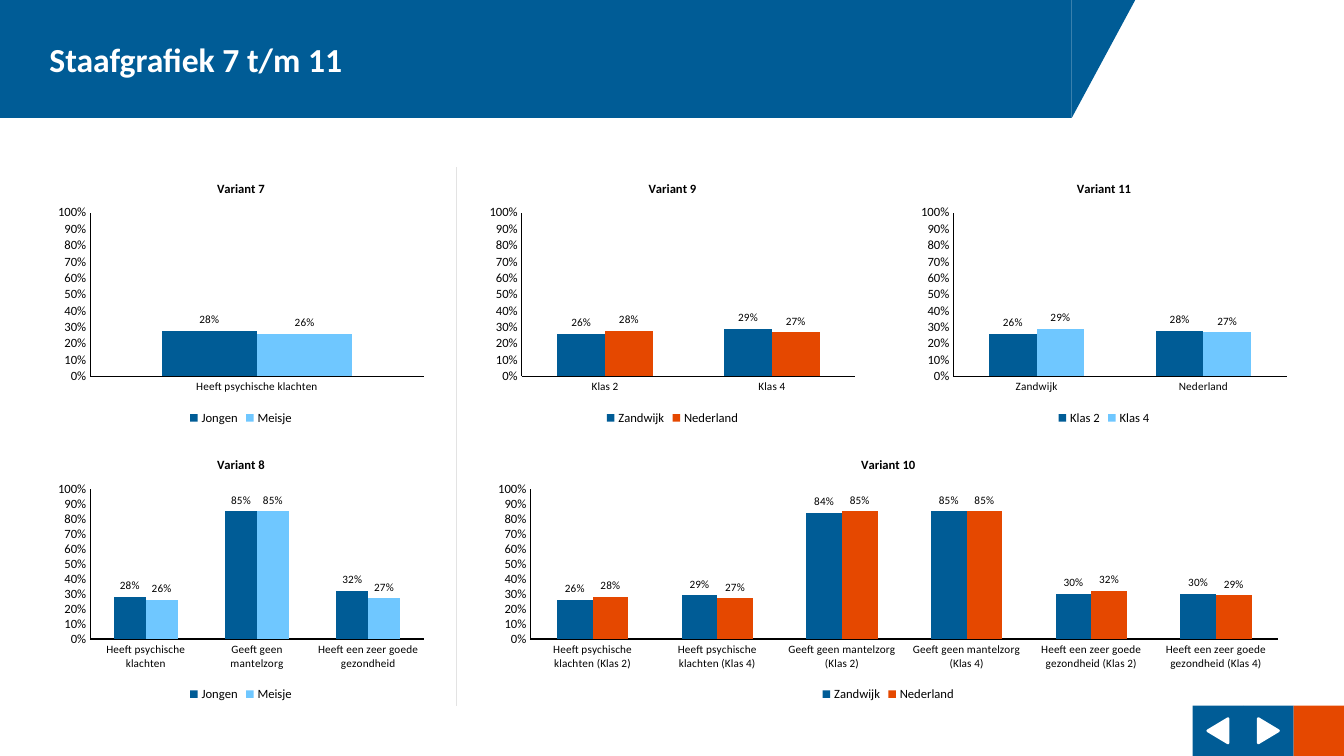
from lxml.etree import SubElement
from pptx import Presentation
from pptx.chart.data import CategoryChartData
from pptx.dml.color import RGBColor
from pptx.enum.chart import XL_CHART_TYPE, XL_LABEL_POSITION, XL_LEGEND_POSITION, XL_TICK_MARK
from pptx.enum.shapes import MSO_CONNECTOR, MSO_SHAPE as SHAPE
from pptx.enum.text import MSO_ANCHOR, MSO_AUTO_SIZE, PP_ALIGN
from pptx.oxml.ns import qn
from pptx.util import Inches, Pt

FONT = "Calibri"
COLORS = {"blue": "005C96", "sky": "6FC7FF", "orange": "E54800",
          "grey": "E3E3E3", "black": "000000", "white": "FFFFFF"}

TITLE = "Staafgrafiek 7 t/m 11"
TOPICS = ["Heeft psychische klachten", "Geeft geen mantelzorg", "Heeft een zeer goede gezondheid"]
CLASSES = ["Klas 2", "Klas 4"]
REGIONS = ["Zandwijk", "Nederland"]
CHARTS = [
    {"title": "Variant 7", "col": 0, "row": 0, "span": 1, "cats": TOPICS[:1], "second": "sky",
     "series": {"Jongen": [0.28], "Meisje": [0.26]}},
    {"title": "Variant 8", "col": 0, "row": 1, "span": 1, "cats": TOPICS, "second": "sky",
     "series": {"Jongen": [0.28, 0.85, 0.32], "Meisje": [0.26, 0.85, 0.27]}},
    {"title": "Variant 9", "col": 1, "row": 0, "span": 1, "cats": CLASSES, "second": "orange",
     "series": {"Zandwijk": [0.26, 0.29], "Nederland": [0.28, 0.27]}},
    {"title": "Variant 10", "col": 1, "row": 1, "span": 2, "second": "orange",
     "cats": [f"{topic} ({klas})" for topic in TOPICS for klas in CLASSES],
     "series": {"Zandwijk": [0.26, 0.29, 0.84, 0.85, 0.3, 0.3],
                "Nederland": [0.28, 0.27, 0.85, 0.85, 0.32, 0.29]}},
    {"title": "Variant 11", "col": 2, "row": 0, "span": 1, "cats": REGIONS, "second": "sky",
     "series": {"Klas 2": [0.26, 0.28], "Klas 4": [0.29, 0.27]}},
]
BUTTONS = [("blue", 270), ("blue", 90), ("orange", None)]

LEFT, TOP = 0.5, 1.66
CHART_W, CHART_H = 3.78, 2.6
STEP_X, STEP_Y = 4.28, 2.74
BAND_W, BAND_H = 10.63, 1.17
BUTTON = 0.5


def rgb(name):
    return RGBColor.from_string(COLORS[name])


def set_font(font, size, color="black", bold=False):
    font.name, font.size, font.bold = FONT, Pt(size), bold
    font.color.rgb = rgb(color)


def add_box(s, kind, x, y, w, h, color):
    sp = s.shapes.add_shape(kind, Inches(x), Inches(y), Inches(w), Inches(h))
    sp.shadow.inherit = False
    sp.fill.solid()
    sp.fill.fore_color.rgb = rgb(color)
    sp.line.fill.background()
    return sp


def add_header(s):
    title = s.shapes.title
    title.left, title.top = Inches(0), Inches(0)
    title.width, title.height = Inches(BAND_W), Inches(BAND_H)
    title.fill.solid()
    title.fill.fore_color.rgb = rgb("blue")
    tf = title.text_frame
    tf.text = TITLE
    tf.auto_size = MSO_AUTO_SIZE.NONE
    tf.vertical_anchor = MSO_ANCHOR.MIDDLE
    tf.margin_left = Inches(0.49)
    p = tf.paragraphs[0]
    p.alignment = PP_ALIGN.LEFT
    set_font(p.font, 24, "white", True)
    slant = add_box(s, SHAPE.RIGHT_TRIANGLE, BAND_W, 0, 0.63, BAND_H, "blue")
    slant.rotation = 180
    slant._element.spPr.find(qn("a:xfrm")).set("flipH", "1")


def add_divider(s):
    line = s.shapes.add_connector(MSO_CONNECTOR.STRAIGHT, Inches(4.53), Inches(7),
                                  Inches(4.53), Inches(TOP))
    line.line.color.rgb = rgb("grey")
    line.line.width = Pt(1)
    SubElement(line._element.spPr, qn("a:effectLst"))


def add_buttons(s):
    start = 13.33 - len(BUTTONS) * BUTTON
    for i, (color, rotation) in enumerate(BUTTONS):
        x = start + i * BUTTON
        add_box(s, SHAPE.RECTANGLE, x, 7, BUTTON, BUTTON, color)
        if rotation is not None:
            arrow = add_box(s, SHAPE.ISOSCELES_TRIANGLE, x + 0.13, 7.15, 0.24, 0.2, "white")
            arrow.rotation = rotation
            arrow.line.color.rgb = rgb("white")
            arrow.line.width = Pt(2)


def format_axis(axis, size):
    axis.has_major_gridlines = False
    axis.major_tick_mark = axis.minor_tick_mark = XL_TICK_MARK.NONE
    axis.format.line.color.rgb = rgb("black")
    axis.format.line.width = Pt(1)
    set_font(axis.tick_labels.font, size)


def add_bar_chart(s, item):
    data = CategoryChartData(number_format="0%")
    data.categories = item["cats"]
    for name, values in item["series"].items():
        data.add_series(name, values)
    width = CHART_W + (item["span"] - 1) * STEP_X
    chart = s.shapes.add_chart(
        XL_CHART_TYPE.COLUMN_CLUSTERED,
        Inches(LEFT + item["col"] * STEP_X), Inches(TOP + item["row"] * STEP_Y),
        Inches(width), Inches(CHART_H), data).chart
    set_font(chart.font, 18)

    chart.has_title = True
    tf = chart.chart_title.text_frame
    tf.text = item["title"]
    set_font(tf.paragraphs[0].font, 9, bold=True)
    chart.chart_title.include_in_layout = False

    chart.has_legend = True
    chart.legend.position = XL_LEGEND_POSITION.BOTTOM
    chart.legend.include_in_layout = False
    set_font(chart.legend.font, 9)

    format_axis(chart.category_axis, 8)
    axis = chart.value_axis
    format_axis(axis, 9)
    axis.minimum_scale, axis.maximum_scale, axis.major_unit = 0, 1, 0.1
    axis.tick_labels.number_format = "0%"
    axis.tick_labels.number_format_is_linked = False

    plot = chart.plots[0]
    plot.gap_width, plot.overlap = 150, 0
    plot.vary_by_categories = False
    for series, color in zip(plot.series, ("blue", item["second"])):
        series.format.fill.solid()
        series.format.fill.fore_color.rgb = rgb(color)
        labels = series.data_labels
        labels.show_value = True
        labels.position = XL_LABEL_POSITION.OUTSIDE_END
        labels.number_format = "0%"
        labels.number_format_is_linked = False
        set_font(labels.font, 8)


def main():
    prs = Presentation()
    prs.slide_width, prs.slide_height = Inches(13.33), Inches(7.5)
    s = prs.slides.add_slide(prs.slide_layouts[5])
    add_buttons(s)
    add_divider(s)
    add_header(s)
    for item in CHARTS:
        add_bar_chart(s, item)
    prs.save("out.pptx")


if __name__ == "__main__":
    main()
